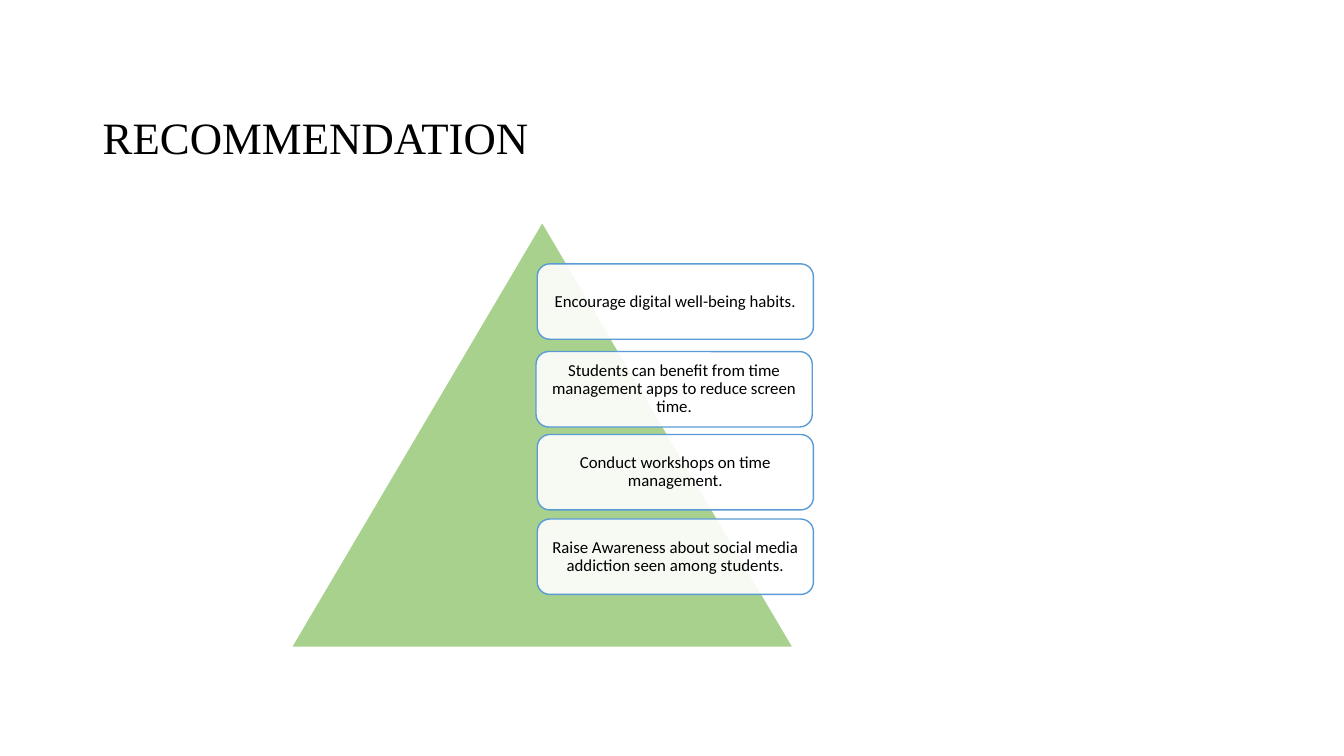
from lxml import etree
from pptx import Presentation
from pptx import util as u
from pptx.dml.color import RGBColor
from pptx.enum import shapes, text
from pptx.oxml.ns import qn

WHITE = RGBColor(0xFF, 0xFF, 0xFF)
BLACK = RGBColor(0x00, 0x00, 0x00)
GREEN = RGBColor(0xA9, 0xD1, 0x8E)
BLUE = RGBColor(0x5B, 0x9B, 0xD5)

CARD_WIDTH, CARD_HEIGHT = 6.96, 1.9
# left and top in cm, then wording
RECOMMENDATIONS = [
    (13.54, 6.65, "Encourage digital well-being habits."),
    (13.51, 8.86, "Students can benefit from time management apps to reduce screen time."),
    (13.54, 10.95, "Conduct workshops on time management."),
    (13.54, 13.08, "Raise Awareness about social media addiction seen among students."),
]


class RecommendationSlide:
    title_font, title_size = "Times New Roman", 32
    body_font, body_size = "Calibri", 12
    card_inset = u.Cm(0.13)

    def __init__(self, slide):
        self.slide = slide

    def set_wording(self, frame, wording, font, size, align, anchor):
        frame.word_wrap = True
        frame.vertical_anchor = anchor
        frame.text = wording
        paragraph = frame.paragraphs[0]
        paragraph.alignment = align
        paragraph.line_spacing = 0.9
        run_font = paragraph.runs[0].font
        run_font.name, run_font.size = font, u.Pt(size)
        run_font.color.rgb = BLACK

    def outlined(self, preset, box, fill, line):
        """Add a filled preset shape with a 1 pt outline; box is in cm."""
        shape = self.slide.shapes.add_shape(preset, *map(u.Cm, box))
        shape.shadow.inherit = False
        shape.fill.solid()
        shape.fill.fore_color.rgb = fill
        shape.line.color.rgb = line
        shape.line.width = u.Pt(1)
        return shape

    def title(self, wording, box):
        heading = self.slide.shapes.add_textbox(*map(u.Cm, box))
        self.set_wording(heading.text_frame, wording, self.title_font, self.title_size,
                         text.PP_ALIGN.LEFT, text.MSO_ANCHOR.BOTTOM)

    def pyramid(self, box):
        self.outlined(shapes.MSO_SHAPE.ISOSCELES_TRIANGLE, box, GREEN, WHITE)

    def card(self, left, top, wording):
        card = self.outlined(shapes.MSO_SHAPE.ROUNDED_RECTANGLE,
                             (left, top, CARD_WIDTH, CARD_HEIGHT), WHITE, BLUE)
        fill_color = card.element.spPr.find(qn("a:solidFill"))[0]
        etree.SubElement(fill_color, qn("a:alpha")).set("val", "90000")
        frame = card.text_frame
        frame.margin_left = frame.margin_right = self.card_inset
        frame.margin_top = frame.margin_bottom = self.card_inset
        self.set_wording(frame, wording, self.body_font, self.body_size,
                         text.PP_ALIGN.CENTER, text.MSO_ANCHOR.MIDDLE)


def main():
    deck = Presentation()
    deck.slide_width, deck.slide_height = u.Cm(33.87), u.Cm(19.05)
    page = RecommendationSlide(deck.slides.add_slide(deck.slide_layouts[6]))
    page.title("RECOMMENDATION", (2.34, 1.65, 11.35, 2.62))
    page.pyramid((7.34, 5.59, 12.65, 10.72))
    for left, top, wording in RECOMMENDATIONS:
        page.card(left, top, wording)
    deck.save("out.pptx")


if __name__ == "__main__":
    main()
